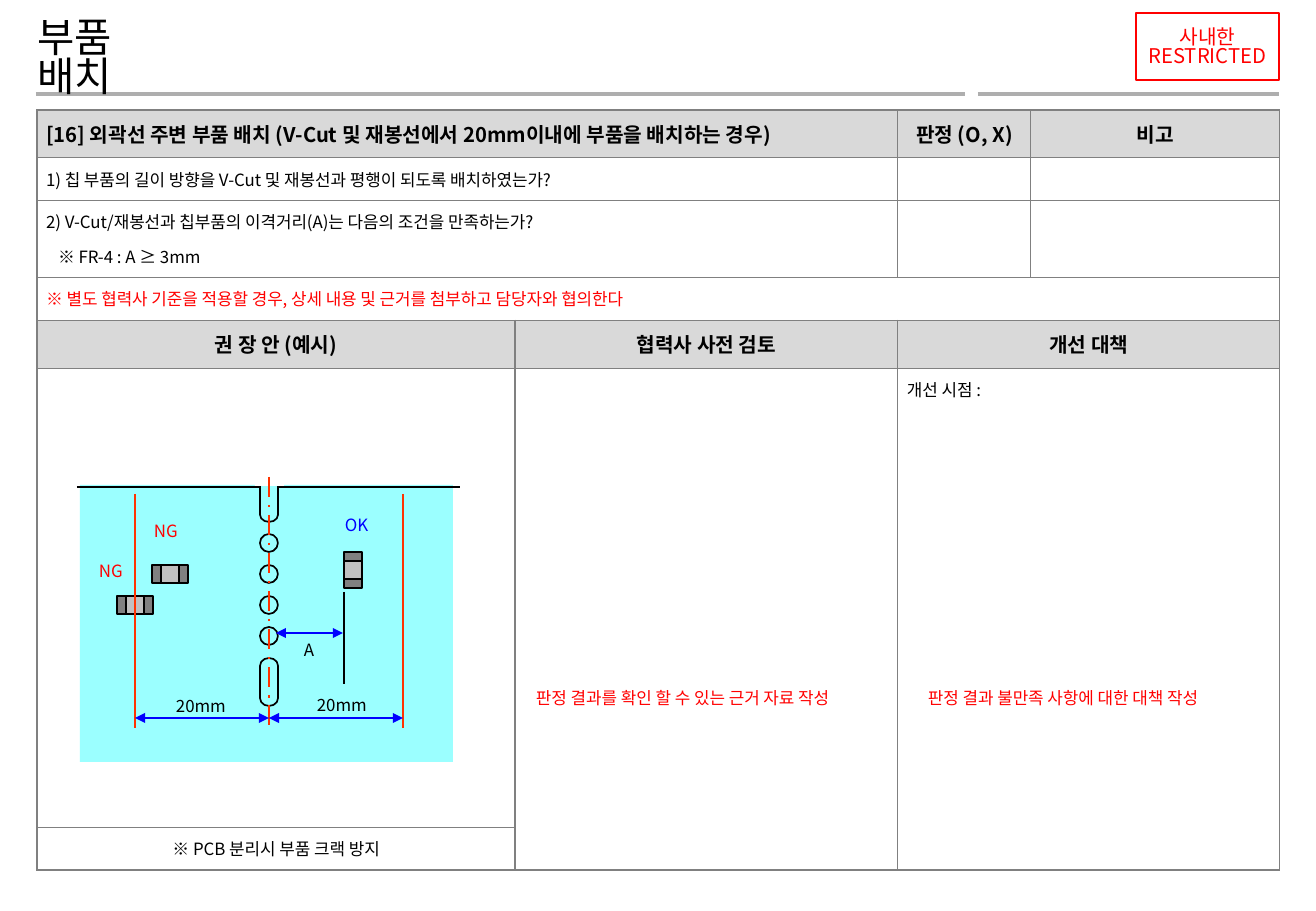
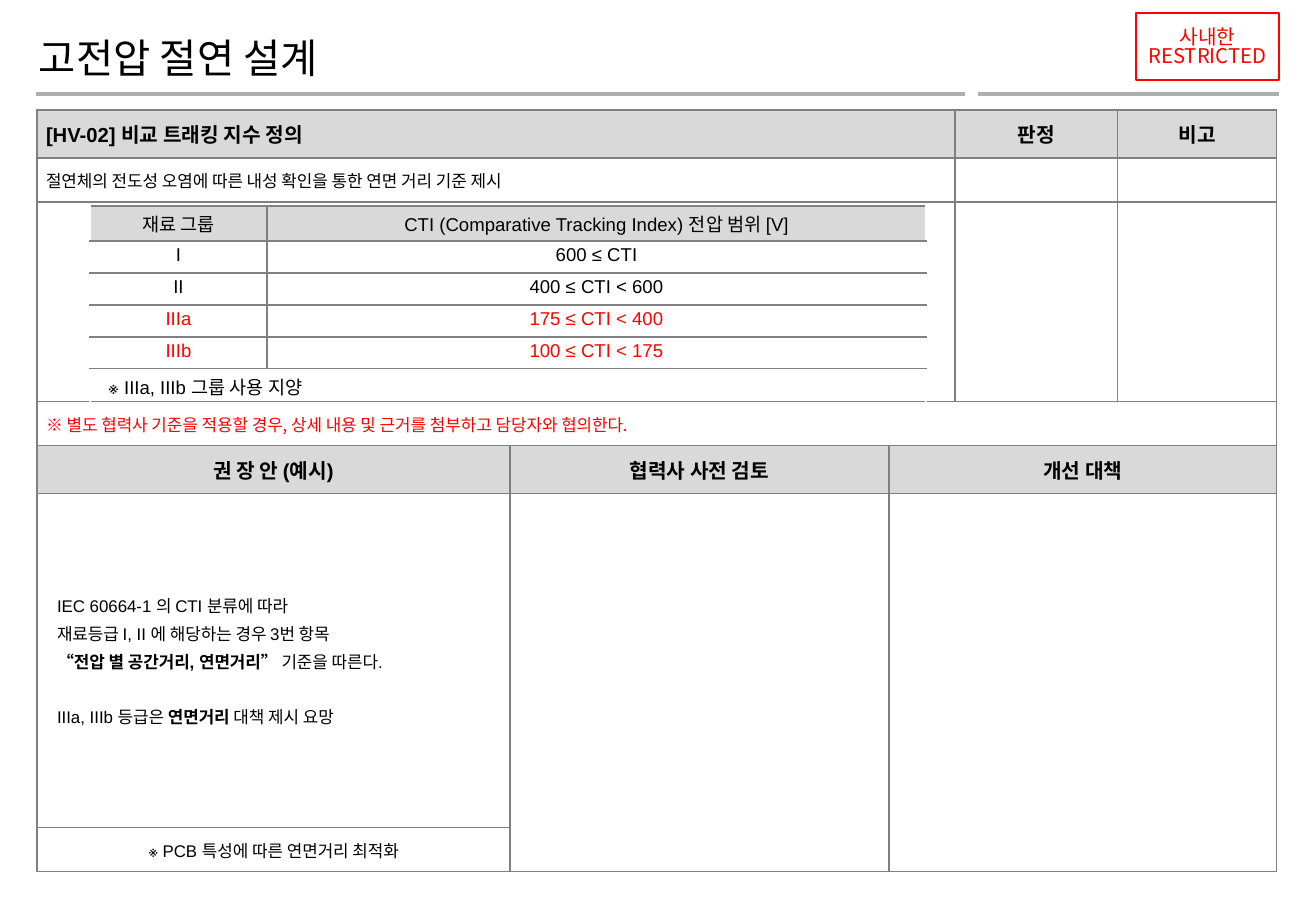
from lxml.etree import SubElement
from pptx import Presentation
from pptx.dml.color import RGBColor
from pptx.enum.dml import MSO_LINE
from pptx.enum.shapes import MSO_CONNECTOR, MSO_SHAPE as Shape
from pptx.enum.text import MSO_ANCHOR as Anchor, MSO_AUTO_SIZE, PP_ALIGN as Align
from pptx.oxml.ns import qn
from pptx.util import Pt

EMU_PER_PX = 7526
KOREAN, LATIN = "Noto Sans CJK KR", "Arial"
BLACK, WHITE, RED, BLUE = "000000", "FFFFFF", "FF0000", "0000FF"
GRAY, BAND, RULE = "808080", "D9D9D9", "AEAEAE"
CUT_RED, CHIP_PAD, BOARD = "FF3300", "C0C0C0", "66FFFF"


def px(length):
    return round(length * EMU_PER_PX)


def rgb(value):
    return RGBColor.from_string(value)


# Text
def write(frame, text, size=10, color=BLACK, font=KOREAN, bold=False,
          align=Align.LEFT, gap=0, line_spacing=None):
    """Fill a frame, one paragraph a line; *stars* mark bold words."""
    for index, line in enumerate(text.split("\n")):
        paragraph = frame.add_paragraph() if index else frame.paragraphs[0]
        paragraph.alignment = align
        if index and gap:
            paragraph.space_before = Pt(gap)
        if line_spacing:
            paragraph.line_spacing = line_spacing
        for number, words in enumerate(line.split("*")):
            if not words:
                continue
            run = paragraph.add_run()
            run.text = words
            run.font.size = Pt(size)
            run.font.name = font
            run.font.bold = bold or number % 2 == 1
            run.font.color.rgb = rgb(color)
            properties = run.font._element
            SubElement(properties, qn("a:ea")).set("typeface", KOREAN)


def set_margins(target, left, top, right, bottom):
    target.margin_left, target.margin_top = px(left), px(top)
    target.margin_right, target.margin_bottom = px(right), px(bottom)


def add_label(slide, left, top, width, text, color=BLACK):
    box = slide.shapes.add_textbox(px(left), px(top), px(width), px(33))
    box.text_frame.word_wrap = True
    write(box.text_frame, text, color=color)


# Shapes and lines
def add_figure(slide, kind, left, top, width, height, fill=None, line=None, line_width=1):
    shape = slide.shapes.add_shape(kind, px(left), px(top), px(width), px(height))
    shape.shadow.inherit = False
    if fill:
        shape.fill.solid()
        shape.fill.fore_color.rgb = rgb(fill)
    else:
        shape.fill.background()
    if line:
        shape.line.color.rgb = rgb(line)
        shape.line.width = Pt(line_width)
    else:
        shape.line.fill.background()
    return shape


def add_line(slide, start, end, color, width=0.75, dash=None, arrows=False):
    line = slide.shapes.add_connector(MSO_CONNECTOR.STRAIGHT, *map(px, start + end))
    line.line.color.rgb = rgb(color)
    line.line.width = Pt(width)
    if dash:
        line.line.dash_style = dash
    properties = line.element.spPr
    if arrows:
        for tip in ("a:headEnd", "a:tailEnd"):
            SubElement(properties.find(qn("a:ln")), qn(tip)).set("type", "triangle")
    SubElement(properties, qn("a:effectLst"))
    return line


# Tables
def set_borders(cell, left, right, top, bottom, width=0.75):
    properties = cell._tc.get_or_add_tcPr()
    sides = zip(("lnL", "lnR", "lnT", "lnB"), (left, right, top, bottom))
    for index, (side, color) in enumerate(sides):
        border = properties.makeelement(qn("a:" + side), {"w": str(Pt(width))})
        fill = SubElement(border, qn("a:solidFill"))
        SubElement(fill, qn("a:srgbClr")).set("val", color)
        properties.insert(index, border)


def add_grid(slide, left, top, columns, rows, width=0.75, border=lambda row, column: (GRAY,) * 4):
    """Add an unfilled table; border gives the four edge colours of a cell."""
    frame = slide.shapes.add_table(len(rows), len(columns), px(left), px(top),
                                   px(sum(columns)), px(sum(rows)))
    table = frame.table
    table.first_row = table.horz_banding = False
    for column, size in zip(table.columns, columns):
        column.width = px(size)
    for row, size in zip(table.rows, rows):
        row.height = px(size)
    for row in range(len(rows)):
        for column in range(len(columns)):
            cell = table.cell(row, column)
            cell.fill.background()
            set_borders(cell, *border(row, column), width=width)
            set_margins(cell, 9, 9, 9, 9)
            end = SubElement(cell.text_frame.paragraphs[0]._p, qn("a:endParaRPr"))
            end.set("sz", "1000")
    return table


def put(table, row, column, text="", span=(1, 1), fill=None, anchor=Anchor.MIDDLE,
        margins=(9, 9, 9, 9), **style):
    cell = table.cell(row, column)
    if span != (1, 1):
        cell.merge(table.cell(row + span[0] - 1, column + span[1] - 1))
    if fill:
        cell.fill.solid()
        cell.fill.fore_color.rgb = rgb(fill)
    cell.vertical_anchor = anchor
    set_margins(cell, *margins)
    write(cell.text_frame, text, **style)
    return cell


def add_review_form(slide, left, top, columns, rows, title, verdict, checks, notice,
                    advice="", plan="", remark="", font=KOREAN, indent=9):
    """Checklist rows above three review panels; returns the table."""
    table = add_grid(slide, left, top, columns, rows)
    wide = len(columns) - 2
    heading = dict(fill=BAND, size=12, bold=True, font=font)
    centred = dict(heading, align=Align.CENTER)
    # Checklist
    put(table, 0, 0, title, (1, wide), **heading)
    put(table, 0, wide, verdict, **centred)
    put(table, 0, wide + 1, "비고", **centred)
    for row, check in enumerate(checks, 1):
        put(table, row, 0, check, (1, wide), font=font, gap=6)
    put(table, 3, 0, notice, (1, wide + 2), color=RED)
    # Review panels
    put(table, 4, 0, "권 장 안 (예시)", **centred)
    put(table, 4, 1, "협력사 사전 검토", **centred)
    put(table, 4, 2, "개선 대책", (1, wide), **centred)
    put(table, 5, 0, advice, font=font, gap=2, margins=(indent, 9, 9, 9))
    put(table, 5, 1, span=(2, 1))
    put(table, 5, 2, plan, (2, wide), anchor=Anchor.TOP)
    put(table, 6, 0, remark, font=font, align=Align.CENTER)
    return table


# Shared parts
def dress_layout(layout, slide):
    """Draw the header rules and the stamp, then move them to the layout."""
    rules = [add_line(slide, (start, 94), (end, 94), RULE, 2)
             for start, end in ((36, 965), (978, 1279))]
    stamp = add_figure(slide, Shape.RECTANGLE, 1136, 13, 143, 67, line=RED, line_width=0.75)
    frame = stamp.text_frame
    frame.word_wrap = False
    frame.vertical_anchor = Anchor.TOP
    set_margins(frame, 11, 16, 11, 0)
    write(frame, "사내한\nRESTRICTED", size=12, color=RED, align=Align.CENTER, line_spacing=0.8)
    for shape in (*rules, stamp):
        layout.shapes.element.append(shape.element)


def set_title(slide, text, left, top, width, height, line_spacing=None):
    title = slide.shapes.title
    title.left, title.top, title.width, title.height = map(px, (left, top, width, height))
    frame = title.text_frame
    frame.auto_size = MSO_AUTO_SIZE.NONE
    frame.word_wrap = True
    frame.vertical_anchor = Anchor.MIDDLE
    set_margins(frame, 0, 0, 0, 0)
    write(frame, text, size=24, line_spacing=line_spacing)


# Board drawing
def add_board(slide, left, top):
    def figure(kind, x, y, width, height, **style):
        return add_figure(slide, kind, left + x, top + y, width, height, **style)

    def line(start, end, color, **style):
        add_line(slide, (left + start[0], top + start[1]),
                 (left + end[0], top + end[1]), color, **style)

    axis, hole, reach = 189, 18, 134
    board = figure(Shape.RECTANGLE, 0, 0, 373, 277, fill=BOARD)
    color = board.element.spPr.find(qn("a:solidFill"))[0]
    SubElement(color, qn("a:alpha")).set("val", "65000")

    # Slots and holes along the cut
    for middle, length in ((15, 44), (197, 48)):
        slot = figure(Shape.FLOWCHART_TERMINATOR, axis - length // 2, middle - hole // 2,
                      length, hole, line=BLACK)
        slot.rotation = 90
    for index in range(4):
        figure(Shape.OVAL, axis - hole // 2, 49 + 31 * index, hole, hole, line=BLACK)
    for start, end in ((-3, 180), (197, 380)):
        line((start, 2), (end, 2), BLACK, width=1)
    figure(Shape.RECTANGLE, 175, -16, 29, 17, fill=WHITE)

    # Chips
    pad = 18
    for x, y, width, height in ((264, 67, pad, 36), (72, 80, 36, pad), (37, 111, 36, pad)):
        figure(Shape.RECTANGLE, x, y, width, height, fill=GRAY, line=BLACK)
        figure(Shape.RECTANGLE, x + (width - pad) // 2, y + (height - pad) // 2, pad, pad,
               fill=CHIP_PAD, line=BLACK)

    # Limits and dimensions
    line((264, 107), (264, 199), BLACK)
    for x in (axis - reach, axis + reach):
        line((x, 9), (x, 243), CUT_RED)
    line((axis, -8), (axis, 243), CUT_RED, width=1.5, dash=MSO_LINE.LONG_DASH_DOT)
    for start, end, y in ((axis - reach, axis, 233), (axis, axis + reach, 233), (196, 263, 148)):
        line((start, y), (end, y), BLUE, arrows=True)
    for x, y, width, text, color in (
            (84, 205, 135, "20mm", BLACK), (225, 204, 135, "20mm", BLACK),
            (212, 149, 41, "A", BLACK), (7, 70, 77, "NG", RED),
            (253, 24, 66, "OK", BLUE), (62, 30, 98, "NG", RED)):
        add_label(slide, left + x, top + y, width, text, color)


# Tracking index table
def add_index_table(slide, left, top):
    entries = (("재료 그룹", "CTI (Comparative Tracking Index) 전압 범위 [V]"),
               ("I", "600 ≤ CTI"), ("II", "400 ≤ CTI < 600"),
               ("IIIa", "175 ≤ CTI < 400"), ("IIIb", "100 ≤ CTI < 175"))
    last = len(entries)

    def border(row, column):
        if row == last:
            return WHITE, WHITE, GRAY, WHITE
        return (GRAY if column else WHITE), (WHITE if column else GRAY), GRAY, GRAY

    table = add_grid(slide, left, top, (177, 659), (34,) + (32,) * last, 1, border)
    style = dict(size=11, font=LATIN, anchor=Anchor.TOP)
    for row, entry in enumerate(entries):
        for column, text in enumerate(entry):
            put(table, row, column, text, fill=None if row else BAND, align=Align.CENTER,
                color=RED if row > 2 else BLACK, margins=(7, 4, 7, 4), **style)
    put(table, last, 0, "※ IIIa, IIIb 그룹 사용 지양", (1, 2), margins=(18, 4, 7, 4), **style)


# Slides
def build_placement(slide):
    set_title(slide, "부품 배치", 37, 36, 100, 49, line_spacing=0.8)
    form = add_review_form(
        slide, 37, 110, (478, 383, 133, 249), (47, 43, 72, 43, 48, 459, 43),
        title="[16] 외곽선 주변 부품 배치 (V-Cut 및 재봉선에서 20mm이내에 부품을 배치하는 경우)",
        verdict="판정 (O, X)",
        checks=("1) 칩 부품의 길이 방향을 V-Cut 및 재봉선과 평행이 되도록 배치하였는가?",
                "2) V-Cut/재봉선과 칩부품의 이격거리(A)는 다음의 조건을 만족하는가?\n"
                "※ FR-4 : A ≥ 3mm"),
        notice="※ 별도 협력사 기준을 적용할 경우, 상세 내용 및 근거를 첨부하고 담당자와 협의한다",
        plan="개선 시점 :", remark="※ PCB 분리시 부품 크랙 방지")
    condition = form.cell(2, 0).text_frame.paragraphs[1]
    condition._p.get_or_add_pPr().set("marL", str(px(12)))
    add_board(slide, 80, 485)
    add_label(slide, 524, 682, 363, "판정 결과를 확인 할 수 있는 근거 자료 작성", RED)
    add_label(slide, 916, 682, 344, "판정 결과 불만족 사항에 대한 대책 작성", RED)


def build_insulation(slide):
    set_title(slide, "고전압 절연 설계", 39, 24, 890, 67)
    form = add_review_form(
        slide, 37, 110, (473, 379, 66, 163, 159), (48, 44, 200, 44, 48, 334, 44),
        title="[HV-02] 비교 트래킹 지수 정의", verdict="판정",
        checks=("절연체의 전도성 오염에 따른 내성 확인을 통한 연면 거리 기준 제시", ""),
        notice="※ 별도 협력사 기준을 적용할 경우, 상세 내용 및 근거를 첨부하고 담당자와 협의한다.",
        advice="IEC 60664-1 의 CTI 분류에 따라\n재료등급 I, II 에 해당하는 경우 3번 항목\n"
               "*“전압 별 공간거리, 연면거리” *기준을 따른다.\n"
               "IIIa, IIIb 등급은 *연면거리* 대책 제시 요망",
        remark="※ PCB 특성에 따른 연면거리 최적화", font=LATIN, indent=20)
    form.cell(5, 0).text_frame.paragraphs[3].space_before = Pt(18.5)
    add_index_table(slide, 90, 206)


def main():
    presentation = Presentation()
    presentation.slide_width, presentation.slide_height = px(1316), px(911)
    layout = presentation.slide_layouts[5]
    slides = [presentation.slides.add_slide(layout) for _ in range(2)]
    dress_layout(layout, slides[0])
    build_placement(slides[0])
    build_insulation(slides[1])
    presentation.save("out.pptx")


if __name__ == "__main__":
    main()
